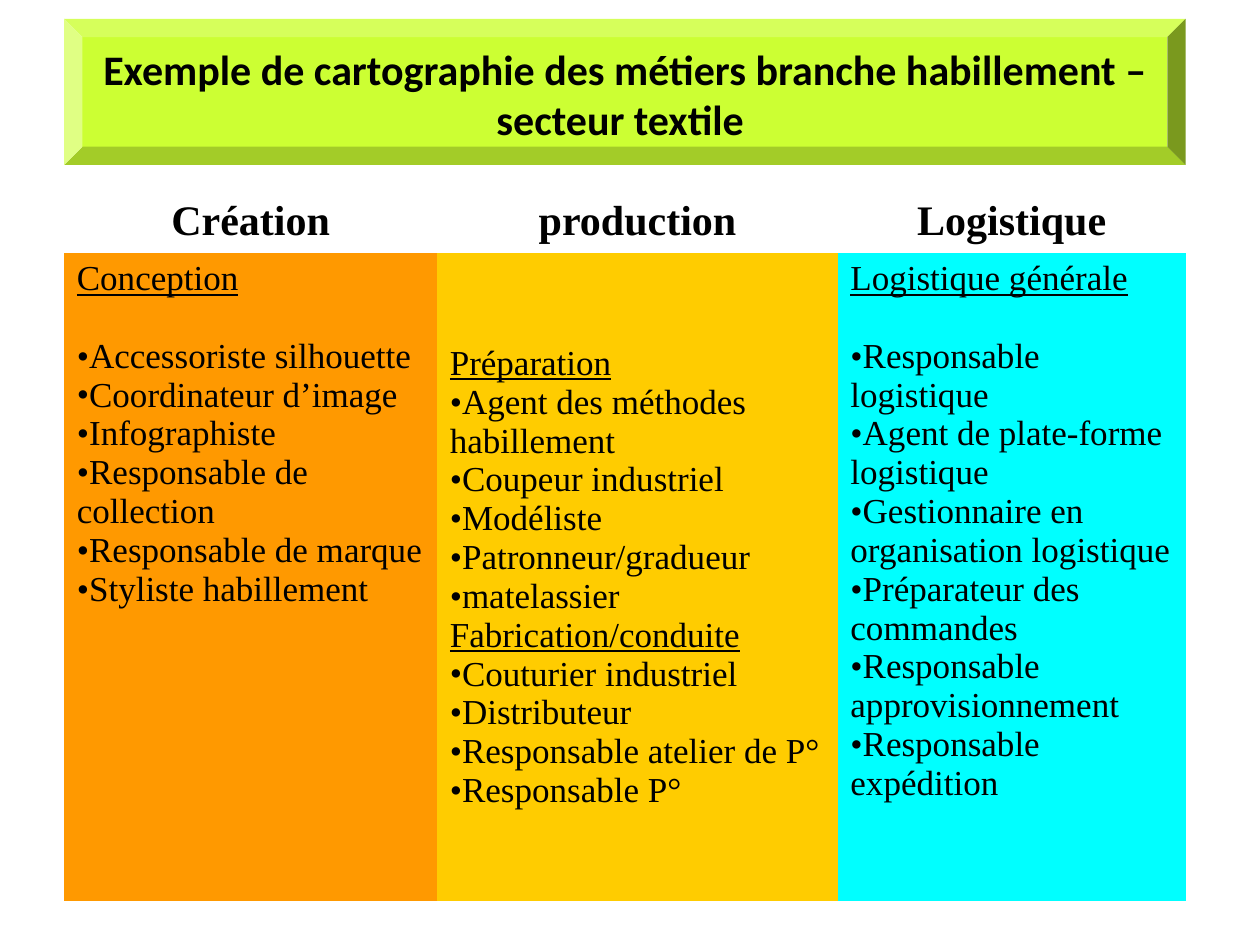
"""Build a slide mapping the clothing trades by area of activity."""

from dataclasses import dataclass

import pptx
import pptx.dml.color
import pptx.enum.shapes
import pptx.enum.text
import pptx.oxml
import pptx.oxml.ns
import pptx.presentation
import pptx.slide
import pptx.table
import pptx.text.text
import pptx.util
from pptx.util import Inches

COLORS = {
    "text": "000000",
    "header": "FFFFFF",
    "banner": "CCFF33",
    "creation": "FF9900",
    "production": "FFCC00",
    "logistics": "00FFFF",
}
TITLE_FONT = "Calibri"
TABLE_FONT = "Times New Roman"
PLAIN_TABLE_STYLE = "{2D5ABB26-0587-4C30-8999-92F81FD0307C}"


@dataclass
class Family:
    heading: str
    trades: list[str]


@dataclass
class Area:
    name: str
    color: str
    width: float
    anchor: pptx.enum.text.MSO_ANCHOR
    gap: float
    families: list[Family]


AREAS = [
    Area("Création", "creation", 2.96, pptx.enum.text.MSO_ANCHOR.TOP, 22, [
        Family("Conception", [
            "Accessoriste silhouette",
            "Coordinateur d’image",
            "Infographiste",
            "Responsable de collection",
            "Responsable de marque",
            "Styliste habillement",
        ]),
    ]),
    Area("production", "production", 3.18, pptx.enum.text.MSO_ANCHOR.MIDDLE, 0, [
        Family("Préparation", [
            "Agent des méthodes habillement",
            "Coupeur industriel",
            "Modéliste",
            "Patronneur/gradueur",
            "matelassier",
        ]),
        Family("Fabrication/conduite", [
            "Couturier industriel",
            "Distributeur",
            "Responsable atelier de P°",
            "Responsable P°",
        ]),
    ]),
    Area("Logistique", "logistics", 2.76, pptx.enum.text.MSO_ANCHOR.TOP, 22, [
        Family("Logistique générale", [
            "Responsable logistique",
            "Agent de plate-forme logistique",
            "Gestionnaire en organisation logistique",
            "Préparateur des commandes",
            "Responsable approvisionnement",
            "Responsable expédition",
        ]),
    ]),
]


def rgb(name: str) -> pptx.dml.color.RGBColor:
    """Return a named colour."""
    return pptx.dml.color.RGBColor.from_string(COLORS[name])


def style_paragraph(
    paragraph: pptx.text.text._Paragraph,
    font_name: str,
    size: float,
    bold: bool = False,
    underline: bool = False,
    centered: bool = False,
) -> None:
    """Set the font and alignment of a paragraph."""
    alignment = pptx.enum.text.PP_ALIGN
    paragraph.alignment = alignment.CENTER if centered else alignment.LEFT
    font = paragraph.font
    font.name = font_name
    font.size = pptx.util.Pt(size)
    font.bold = bold
    font.underline = underline
    font.color.rgb = rgb("text")


def add_bullet(paragraph: pptx.text.text._Paragraph) -> None:
    """Put an unindented bullet before a paragraph."""
    properties = paragraph._p.get_or_add_pPr()
    properties.set("marL", "0")
    properties.set("indent", "0")
    namespace = pptx.oxml.ns.nsdecls("a")
    for element in (f'buFont {namespace} typeface="{TABLE_FONT}"', f'buChar {namespace} char="•"'):
        properties.append(pptx.oxml.parse_xml(f"<a:{element}/>"))


def fill_cell(cell: pptx.table._Cell, color: str, anchor: pptx.enum.text.MSO_ANCHOR) -> None:
    """Colour a cell and anchor its text."""
    cell.fill.solid()
    cell.fill.fore_color.rgb = rgb(color)
    cell.vertical_anchor = anchor


def write_families(cell: pptx.table._Cell, area: Area) -> None:
    """List the trades of an area under their underlined headings."""
    lines = [
        (text, position)
        for family in area.families
        for position, text in enumerate([family.heading, *family.trades])
    ]
    frame = cell.text_frame
    for number, (text, position) in enumerate(lines):
        paragraph = frame.add_paragraph() if number else frame.paragraphs[0]
        paragraph.text = text
        if position == 1 and area.gap:
            paragraph.space_before = pptx.util.Pt(area.gap)
        if position:
            add_bullet(paragraph)
        style_paragraph(paragraph, TABLE_FONT, 20, underline=position == 0)


def add_banner(slide: pptx.slide.Slide) -> None:
    """Draw the bevelled banner and set the title inside it."""
    banner = slide.shapes.add_shape(
        pptx.enum.shapes.MSO_SHAPE.BEVEL,
        Inches(0.51), Inches(0.15), Inches(8.9), Inches(1.16),
    )
    banner.shadow.inherit = False
    banner.adjustments[0] = 0.125
    banner.fill.solid()
    banner.fill.fore_color.rgb = rgb("banner")
    banner.line.fill.background()

    title = slide.shapes.title
    title.left, title.top = Inches(0.65), Inches(0.31)
    title.width, title.height = Inches(8.62), Inches(0.87)
    slide.shapes._spTree.append(title._element)
    frame = title.text_frame
    frame.text = "Exemple de cartographie des métiers branche habillement – secteur textile "
    frame.word_wrap = True
    frame.auto_size = pptx.enum.text.MSO_AUTO_SIZE.NONE
    frame.vertical_anchor = pptx.enum.text.MSO_ANCHOR.MIDDLE
    style_paragraph(frame.paragraphs[0], TITLE_FONT, 24, bold=True, centered=True)


def add_trades_table(slide: pptx.slide.Slide) -> None:
    """Add the table with one column per area."""
    table = slide.shapes.add_table(
        2, len(AREAS), Inches(0.51), Inches(1.51), Inches(8.9), Inches(5.64)
    ).table
    table.first_row = False
    table.horz_banding = False
    table._tbl.tblPr.find(pptx.oxml.ns.qn("a:tableStyleId")).text = PLAIN_TABLE_STYLE
    table.rows[0].height = Inches(0.5)
    table.rows[1].height = Inches(5.14)
    for index, area in enumerate(AREAS):
        table.columns[index].width = Inches(area.width)
        header, body = table.cell(0, index), table.cell(1, index)
        fill_cell(header, "header", pptx.enum.text.MSO_ANCHOR.MIDDLE)
        header.text = area.name
        style_paragraph(
            header.text_frame.paragraphs[0], TABLE_FONT, 24, bold=True, centered=True
        )
        fill_cell(body, area.color, area.anchor)
        write_families(body, area)


def main() -> None:
    """Build and save the presentation."""
    presentation = pptx.Presentation()
    presentation.slide_width = Inches(10)
    presentation.slide_height = Inches(7.5)
    slide = presentation.slides.add_slide(presentation.slide_layouts[5])
    add_trades_table(slide)
    add_banner(slide)
    presentation.save("out.pptx")


if __name__ == "__main__":
    main()
